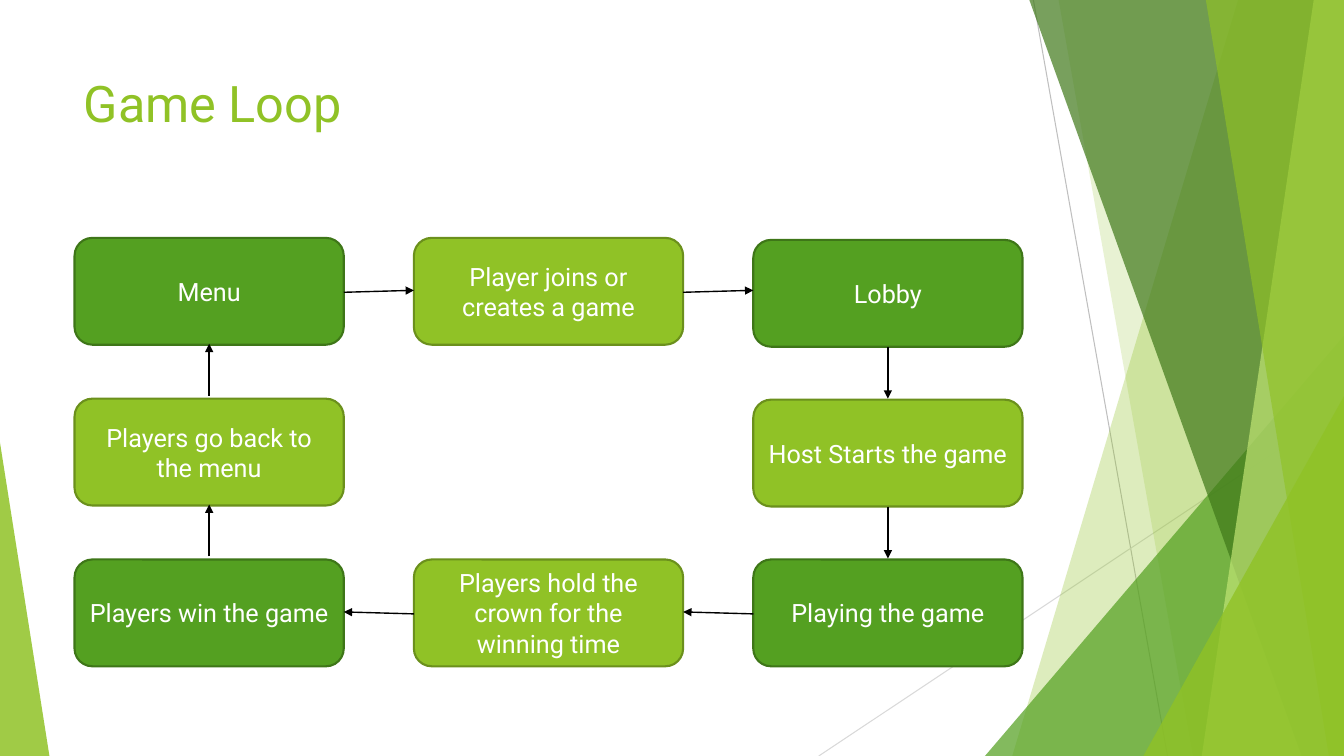
from dataclasses import dataclass

from lxml import etree
from pptx import Presentation
from pptx.dml.color import RGBColor
from pptx.enum.shapes import MSO_CONNECTOR, MSO_SHAPE
from pptx.enum.text import MSO_ANCHOR, PP_ALIGN
from pptx.oxml.ns import qn
from pptx.util import Inches, Pt

STRAIGHT = MSO_CONNECTOR.STRAIGHT
ROUNDED, TRIANGLE = MSO_SHAPE.ROUNDED_RECTANGLE, MSO_SHAPE.ISOSCELES_TRIANGLE
TOP, MIDDLE = MSO_ANCHOR.TOP, MSO_ANCHOR.MIDDLE
LEFT, CENTER = PP_ALIGN.LEFT, PP_ALIGN.CENTER

FONT = "Roboto"
COLORS = {
    "lime": "90C226", "lime_edge": "6B901C", "green": "54A021", "green_edge": "3E7618",
    "forest": "3F7819", "pale": "C0E474", "white": "FFFFFF", "black": "000000",
    "gray": "BFBFBF", "light_gray": "D9D9D9",
}

# Lengths are percent of the slide's width (x) or height (y)
WIDTH, HEIGHT = Inches(13.33), Inches(7.5)
GRID_LEFT, COLUMN_PITCH, BOX_WIDTH = 5.55, 25.25, 20.03
GRID_TOP, ROW_PITCH, BOX_HEIGHT = 31.47, 21.27, 14.13

# Vertical shift of an arrow's start and end, by direction of travel
ARROW_SHIFT = {
    (1, 0): (0.13, -0.13), (-1, 0): (0.13, -0.13),
    (0, 1): (0, -0.13), (0, -1): (-0.4, -0.13),
}


@dataclass
class Ray:
    start: tuple[float, float]
    end: tuple[float, float]
    color: str


@dataclass
class Sheet:
    """A slanted left edge, filled to the right side of the slide."""
    top_x: float
    bottom_x: float
    color: str
    alpha: int


@dataclass
class Peak:
    """A right triangle standing on the bottom of the slide."""
    left: float
    top: float
    width: float
    apex: float
    color: str
    alpha: int


@dataclass
class Step:
    text: str
    column: int
    row: int
    color: str
    drop: float = 0

    @property
    def center_x(self) -> float:
        return GRID_LEFT + self.column * COLUMN_PITCH + BOX_WIDTH / 2

    @property
    def center_y(self) -> float:
        return GRID_TOP + self.row * ROW_PITCH + BOX_HEIGHT / 2


RAYS = [
    Ray((76.89, 0), (86.87, 100), "gray"),
    Ray((100, 53.73), (60.92, 100), "light_gray"),
]
DECOR = [
    Sheet(92.12, 75.32, "lime", 30),
    Sheet(78.77, 88.75, "lime", 20),
    Peak(73.29, 44.4, 26.71, 1, "green", 72),
    Sheet(76.59, 96.85, "forest", 70),
    Sheet(97.75, 89.42, "pale", 70),
    Sheet(89.72, 98.87, "lime", 65),
    Peak(85.07, 52.4, 14.93, 1, "lime", 80),
    Peak(0, 58.53, 3.68, 0, "lime", 85),
]
# Clockwise around the loop
STEPS = [
    Step("Menu", 0, 0, "green"),
    Step("Player joins or creates a game", 1, 0, "lime"),
    Step("Lobby", 2, 0, "green", 0.27),
    Step("Host Starts the game", 2, 1, "lime", 0.13),
    Step("Playing the game", 2, 2, "green"),
    Step("Players hold the crown for the winning time", 1, 2, "lime"),
    Step("Players win the game", 0, 2, "green"),
    Step("Players go back to the menu", 0, 1, "lime"),
]


def across(share: float) -> int:
    return round(WIDTH * share / 100)


def down(share: float) -> int:
    return round(HEIGHT * share / 100)


def rgb(name: str) -> RGBColor:
    return RGBColor.from_string(COLORS[name])


def paint(shape, color: str, alpha: int = 100) -> None:
    shape.shadow.inherit = False
    shape.fill.solid()
    shape.fill.fore_color.rgb = rgb(color)
    if alpha < 100:
        fill_color = shape._element.spPr.find(f"{qn('a:solidFill')}/{qn('a:srgbClr')}")
        etree.SubElement(fill_color, qn("a:alpha"), val=str(alpha * 1000))


def write(shape, text: str, size: int, color: str, align, anchor) -> None:
    frame = shape.text_frame
    frame_format = {"word_wrap": True, "vertical_anchor": anchor,
                    "margin_left": Inches(0.09), "margin_right": Inches(0.09)}
    for name, value in frame_format.items():
        setattr(frame, name, value)
    para = frame.paragraphs[0]
    para.alignment = align
    span = para.add_run()
    span.text = text
    for name, value in {"name": FONT, "size": Pt(size)}.items():
        setattr(span.font, name, value)
    span.font.color.rgb = rgb(color)


def draw_line(page, ray: Ray, width: float, arrow: bool = False) -> None:
    (x1, y1), (x2, y2) = ray.start, ray.end
    line = page.shapes.add_connector(STRAIGHT, across(x1), down(y1), across(x2), down(y2))
    line.line.color.rgb = rgb(ray.color)
    line.line.width = Pt(width)
    properties = line._element.spPr
    if arrow:
        etree.SubElement(properties.find(qn("a:ln")), qn("a:tailEnd"), type="triangle")
    etree.SubElement(properties, qn("a:effectLst"))


def draw_decor(page, part: Sheet | Peak) -> None:
    if isinstance(part, Sheet):
        builder = page.shapes.build_freeform(across(part.top_x), 0)
        builder.add_line_segments(
            [(WIDTH, 0), (WIDTH, HEIGHT), (across(part.bottom_x), HEIGHT)], close=True)
        shape = builder.convert_to_shape()
    else:
        shape = page.shapes.add_shape(TRIANGLE, across(part.left), down(part.top),
                                      across(part.width), down(100 - part.top))
        shape.adjustments[0] = part.apex
    paint(shape, part.color, part.alpha)
    shape.line.fill.background()


def draw_step(page, step: Step) -> None:
    box = page.shapes.add_shape(
        ROUNDED, across(step.center_x - BOX_WIDTH / 2),
        down(step.center_y - BOX_HEIGHT / 2 + step.drop),
        across(BOX_WIDTH), down(BOX_HEIGHT))
    paint(box, step.color)
    box.line.color.rgb = rgb(f"{step.color}_edge")
    box.line.width = Pt(1.5)
    write(box, step.text, 18, "white", CENTER, MIDDLE)


def draw_arrow(page, source: Step, target: Step) -> None:
    dx, dy = target.column - source.column, target.row - source.row
    ends = []
    for step, side, shift in zip((source, target), (1, -1), ARROW_SHIFT[dx, dy]):
        x = step.center_x + side * dx * BOX_WIDTH / 2
        y = step.center_y + side * dy * BOX_HEIGHT / 2 + abs(dy) * step.drop + shift
        ends.append((x, y))
    draw_line(page, Ray(ends[0], ends[1], "black"), 1, arrow=True)


def main() -> None:
    deck = Presentation()
    deck.slide_width, deck.slide_height = WIDTH, HEIGHT
    page = deck.slides.add_slide(deck.slide_layouts[6])

    # Backdrop
    for ray in RAYS:
        draw_line(page, ray, 0.75)
    for part in DECOR:
        draw_decor(page, part)

    # Title
    title = page.shapes.add_textbox(across(GRID_LEFT), down(8.93), across(70.52), down(19.2))
    write(title, "Game Loop", 36, "lime", LEFT, TOP)

    # Loop of steps
    for step in STEPS:
        draw_step(page, step)
    for source, target in zip(STEPS, STEPS[1:] + STEPS[:1]):
        draw_arrow(page, source, target)

    deck.save("out.pptx")


if __name__ == "__main__":
    main()
